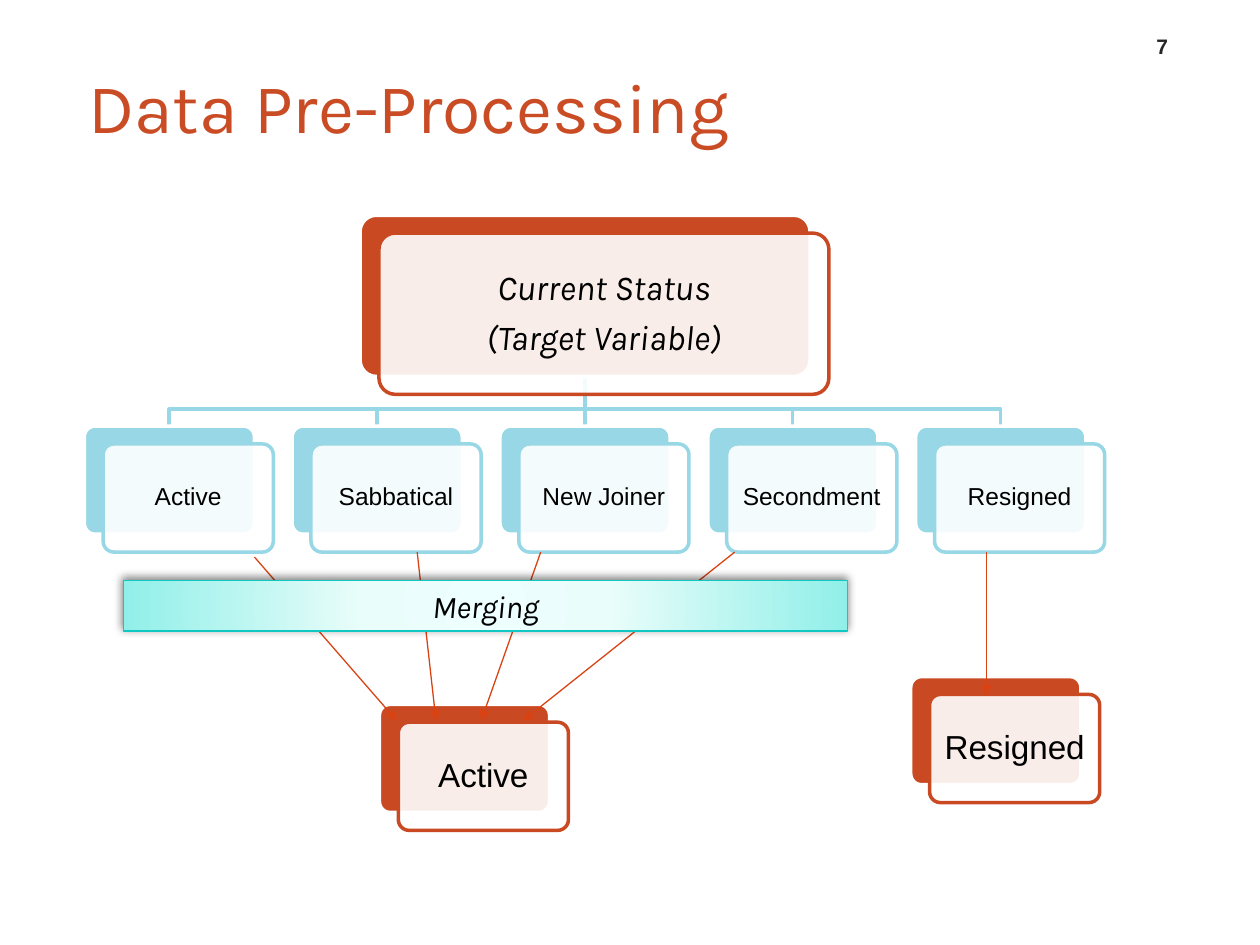
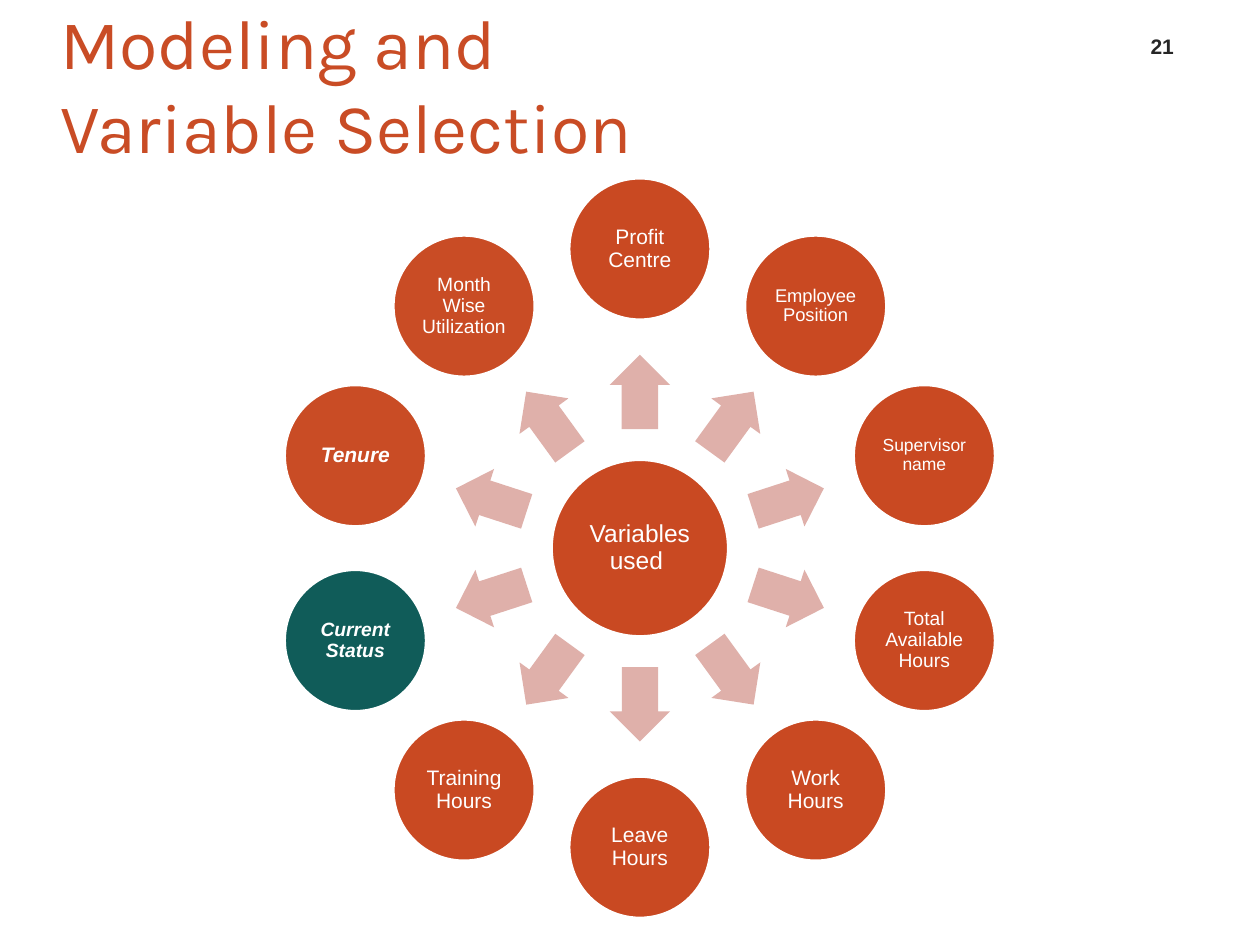
from dataclasses import dataclass
from math import cos, radians, sin

from pptx import Presentation
from pptx.dml.color import RGBColor
from pptx.enum.shapes import MSO_CONNECTOR, MSO_SHAPE
from pptx.enum.text import MSO_ANCHOR, PP_ALIGN
from pptx.oxml import parse_xml
from pptx.oxml.ns import nsdecls, qn
from pptx.util import Cm, Pt

ROUND, RECT = MSO_SHAPE.ROUNDED_RECTANGLE, MSO_SHAPE.RECTANGLE
OVAL, ARROW = MSO_SHAPE.OVAL, MSO_SHAPE.RIGHT_ARROW
STRAIGHT = MSO_CONNECTOR.STRAIGHT
TOP, MIDDLE, BOTTOM = MSO_ANCHOR.TOP, MSO_ANCHOR.MIDDLE, MSO_ANCHOR.BOTTOM
LEFT, CENTER = PP_ALIGN.LEFT, PP_ALIGN.CENTER


@dataclass(frozen=True)
class Theme:
    head: str = "Karla"
    body: str = "Arial"
    title: str = "C94C25"
    rust: str = "C94922"
    sky: str = "98D7E5"
    teal: str = "105C59"
    pink: str = "DFB0AA"
    red: str = "D94314"
    aqua: str = "11C7C1"
    ink: str = "000000"
    gray: str = "262626"
    white: str = "FFFFFF"
    glow: tuple = ((0, "EDFFFF"), (34, "E9FDFA"), (100, "91EFE9"))
    huge: float = 40
    big: float = 20
    large: float = 19
    mid: float = 18
    base: float = 14
    small: float = 12
    tiny: float = 11
    mini: float = 10.5
    least: float = 10
    edge: float = 2
    thin: float = 0.75


T = Theme()


def rgb(code):
    return RGBColor.from_string(code)


def write(shape, lines, size, color, font=T.body, bold=False, italic=False,
          align=CENTER, anchor=MIDDLE, pad=(0.25, 0.13), space=1.0, gap=0):
    frame = shape.text_frame
    frame.word_wrap = True
    frame.vertical_anchor = anchor
    frame.margin_left = frame.margin_right = Cm(pad[0])
    frame.margin_top = frame.margin_bottom = Cm(pad[1])
    for i, line in enumerate(lines):
        para = frame.add_paragraph() if i else frame.paragraphs[0]
        para.alignment = align
        para.line_spacing = space
        para.space_before = Pt(gap if i else 0)
        run = para.add_run()
        run.text = line
        run.font.name = font
        run.font.size = Pt(size)
        run.font.bold = bold
        run.font.italic = italic
        run.font.color.rgb = rgb(color)


def stroke(line, color, width):
    line.color.rgb = rgb(color)
    line.width = Pt(width)


def draw(slide, kind, x, y, w, h, fill=None, edge=None, width=T.edge):
    shape = slide.shapes.add_shape(kind, Cm(x), Cm(y), Cm(w), Cm(h))
    shape.shadow.inherit = False
    if fill:
        shape.fill.solid()
        shape.fill.fore_color.rgb = rgb(fill)
    else:
        shape.fill.background()
    if edge:
        stroke(shape.line, edge, width)
    else:
        shape.line.fill.background()
    return shape


def link(slide, start, end, color, width, head=False):
    line = slide.shapes.add_connector(
        STRAIGHT, Cm(start[0]), Cm(start[1]), Cm(end[0]), Cm(end[1]))
    stroke(line.line, color, width)
    if head:
        line.line._get_or_add_ln().append(
            parse_xml(f'<a:tailEnd {nsdecls("a")} type="triangle"/>'))
    line.element.spPr.append(parse_xml(f'<a:effectLst {nsdecls("a")}/>'))


def elbow(slide, start, bend, end):
    points = [(start[0], bend), (end[0], bend), end]
    form = slide.shapes.build_freeform(Cm(start[0]), Cm(start[1]))
    form.add_line_segments([(Cm(x), Cm(y)) for x, y in points], close=False)
    shape = form.convert_to_shape()
    shape.shadow.inherit = False
    shape.fill.background()
    stroke(shape.line, T.sky, T.edge)


def card(slide, x, y, lines, color, size, w=3.43, h=2.18, **style):
    back = draw(slide, ROUND, x, y, w, h, color, T.white)
    front = draw(slide, ROUND, x + 0.38, y + 0.36, w, h, T.white, color)
    back.adjustments[0] = front.adjustments[0] = 0.1
    tint = front.element.spPr.find(f'{qn("a:solidFill")}/{qn("a:srgbClr")}')
    tint.append(parse_xml(f'<a:alpha {nsdecls("a")} val="90000"/>'))
    write(front, lines, size, T.ink, pad=(0.18, 0.18), space=0.9, **style)


def banner(slide, x, y, w, h, label):
    bar = draw(slide, RECT, x, y, w, h, edge=T.aqua, width=T.thin)
    props = bar.element.spPr
    stops = "".join(f'<a:gs pos="{at * 1000}"><a:srgbClr val="{code}"/></a:gs>'
                    for at, code in T.glow)
    props.replace(props.find(qn("a:noFill")), parse_xml(
        f'<a:gradFill {nsdecls("a")}><a:gsLst>{stops}</a:gsLst>'
        '<a:path path="circle"><a:fillToRect l="50000" t="50000" '
        'r="50000" b="50000"/></a:path></a:gradFill>'))
    props.find(qn("a:effectLst")).append(parse_xml(
        f'<a:outerShdw {nsdecls("a")} blurRad="{Pt(5)}" dist="{Pt(2)}" '
        f'dir="{245 * 60000}"><a:srgbClr val="{T.ink}">'
        '<a:alpha val="50000"/></a:srgbClr></a:outerShdw>'))
    write(bar, [label], T.mid, T.ink, T.head, italic=True, anchor=TOP)


def disc(slide, x, y, wide, label, size, fill=T.rust, strong=False):
    shape = draw(slide, OVAL, x - wide / 2, y - wide / 2, wide, wide,
                 fill, T.white)
    write(shape, [label], size, T.white, bold=strong, italic=strong,
          pad=(0.04, 0.04), space=0.9)


def start(deck, title, number, x, y, w, h):
    slide = deck.slides.add_slide(deck.slide_layouts[6])
    indent = 0.51
    head = slide.shapes.add_textbox(
        Cm(x + indent), Cm(y), Cm(w - indent), Cm(h))
    write(head, [title], T.huge, T.title, T.head, align=LEFT, pad=(0, 0.13))
    page = slide.shapes.add_textbox(Cm(22.73), Cm(0.48), Cm(1.4), Cm(0.84))
    write(page, [number], T.small, T.gray, bold=True, anchor=BOTTOM)
    return slide


def status(deck):
    slide = start(deck, "Data Pre-Processing", "7", 1.27, 1.02, 13.54, 2.21)
    names = ["Active", "Sabbatical", "New Joiner", "Secondment", "Resigned"]
    left, top, pitch = 1.7, 8.59, 4.19
    root = (left + 2 * pitch + 1.71, 7.57)
    for i in range(len(names)):
        end = (left + i * pitch + 1.71, top)
        if end[0] == root[0]:
            link(slide, root, end, T.sky, T.edge)
        else:
            elbow(slide, root, 8.25, end)

    card(slide, 7.26, 4.34, ["Current Status", "(Target Variable)"], T.rust,
         T.big, w=9.07, h=3.25, font=T.head, italic=True, gap=7)
    for i, name in enumerate(names):
        card(slide, left + i * pitch, top, [name], T.sky, T.base)
    card(slide, 7.65, 14.2, ["Active"], T.rust, T.large)
    card(slide, 18.36, 13.64, ["Resigned"], T.rust, T.large)

    merges = [((5.13, 11.23), (8, 14.53)), ((10.9, 11.13), (9.7, 14.53)),
              ((8.41, 11.13), (8.79, 14.53)), ((14.81, 11.13), (10.54, 14.53)),
              ((19.89, 11.13), (19.89, 14.02))]
    for tail, tip in merges:
        link(slide, tail, tip, T.red, T.thin, head=True)
    banner(slide, 2.49, 11.7, 14.6, 1.02, "Merging")


def wheel(deck):
    slide = start(deck, "Modeling and Variable Selection", "21",
                  0.71, 0.33, 14.4, 2.72)
    items = [
        ("Profit Centre", T.small), ("Employee Position", T.mini),
        ("Supervisor name", T.least), ("Total Available Hours", T.tiny),
        ("Work Hours", T.small), ("Leave Hours", T.small),
        ("Training Hours", T.small),
        ("Current Status", T.tiny, T.teal, True),
        ("Tenure", T.small, T.title, True),
        ("Month Wise Utilization", T.tiny, T.title)]
    x, y, wide, high = 12.9, 11.05, 1.5, 1.22
    disc(slide, x, y, 3.58, "Variables used ", T.base)
    for i, item in enumerate(items):
        turn = i * 360 / len(items) - 90
        dx, dy = cos(radians(turn)), sin(radians(turn))
        arrow = draw(slide, ARROW, x + 3.15 * dx - wide / 2,
                     y + 3.15 * dy - high / 2, wide, high, T.pink)
        arrow.adjustments[0] = 0.6
        arrow.adjustments[1] = 0.5
        arrow.rotation = turn % 360
        disc(slide, x + 6.03 * dx, y + 6.03 * dy, 2.87, *item)


def main():
    deck = Presentation()
    deck.slide_width, deck.slide_height = Cm(25.4), Cm(19.05)
    status(deck)
    wheel(deck)
    deck.save("out.pptx")


if __name__ == "__main__":
    main()
